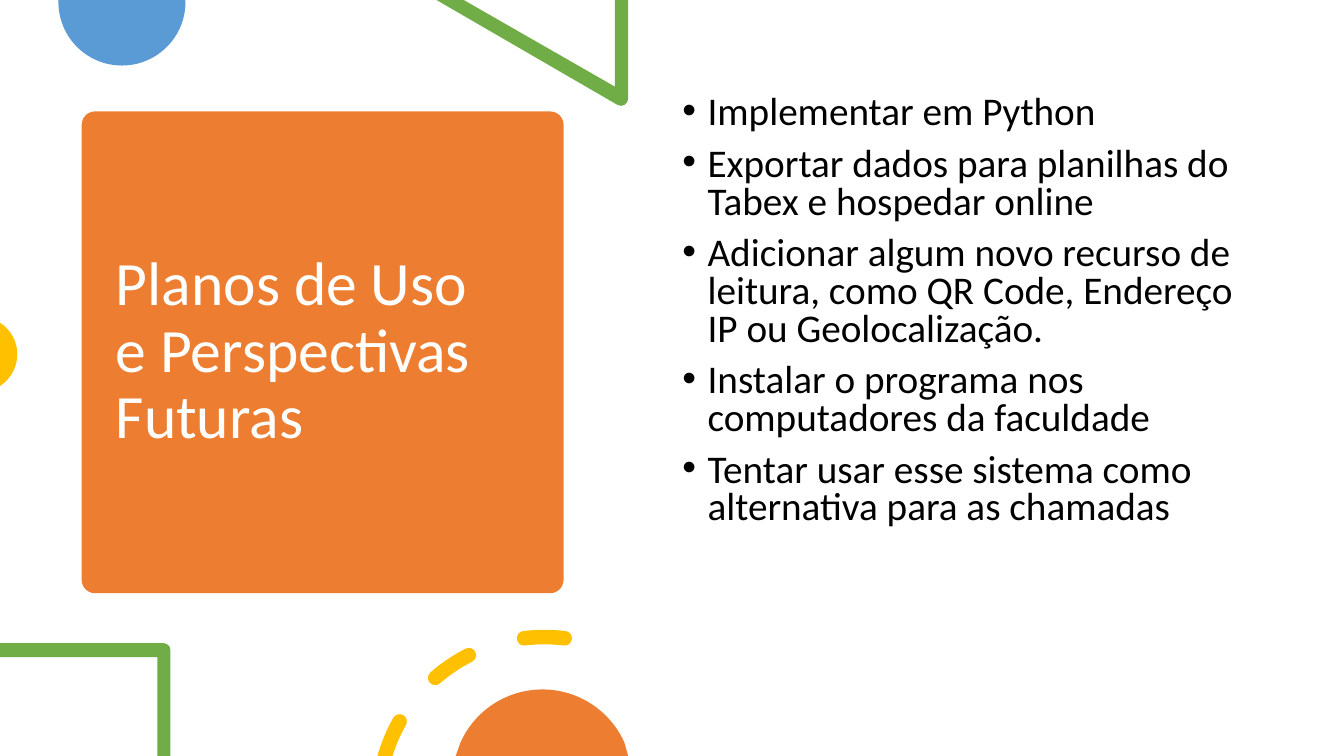
from dataclasses import dataclass
from math import asin, ceil, cos, degrees, radians, sin, tan

from lxml.etree import SubElement
from pptx import Presentation
from pptx.dml.color import RGBColor
from pptx.enum.shapes import MSO_SHAPE
from pptx.enum.text import MSO_ANCHOR
from pptx.oxml.ns import qn
from pptx.util import Inches, Pt

Point = tuple[float, float]
Step = tuple[Point, ...]  # one point is a corner, three are a curve


@dataclass(frozen=True)
class Theme:
    font: str = "Calibri"
    title: int = 44
    body: int = 28
    white: str = "FFFFFF"
    black: str = "000000"
    blue: str = "5B9BD5"
    green: str = "70AD47"
    gold: str = "FFC000"
    orange: str = "ED7D31"


@dataclass(frozen=True)
class Box:
    left: float
    top: float
    width: float
    height: float


@dataclass(frozen=True)
class Arc:
    x: float
    y: float
    radius: float
    start: float
    end: float


@dataclass(frozen=True)
class Dash:
    start: float
    end: float | None = None  # None runs to the slide's bottom edge


theme = Theme()
deck = Presentation()
deck.slide_width, deck.slide_height = Inches(13.33), Inches(7.5)
slide = deck.slides.add_slide(deck.slide_layouts[6])

# The grid has 75 rows of square cells
ROWS = 75
CELL = deck.slide_height / ROWS


def cells(count: float) -> int:
    return round(count * CELL)


def place(box: Box) -> tuple[int, ...]:
    return tuple(cells(n) for n in (box.left, box.top, box.width, box.height))


def paint(shape, color: str) -> None:
    shape.shadow.inherit = False
    shape.fill.solid()
    shape.fill.fore_color.rgb = RGBColor.from_string(color)
    shape.line.fill.background()


def corners(*points: Point) -> list[Step]:
    return [(point,) for point in points]


def curve(arc: Arc) -> list[Step]:
    """An arc in degrees from the right, upwards: its start, then curves."""
    def spot(angle: float, pull: float = 0) -> Point:
        return (arc.x + arc.radius * (cos(angle) - pull * sin(angle)),
                arc.y - arc.radius * (sin(angle) + pull * cos(angle)))

    first, span = radians(arc.start), radians(arc.end - arc.start)
    count = ceil(abs(arc.end - arc.start) / 90)
    turn = span / count
    pull = 4 / 3 * tan(turn / 4)
    angles = [first + turn * i for i in range(count)]
    return [(spot(first),)] + [
        (spot(a, pull), spot(a + turn, -pull), spot(a + turn))
        for a in angles]


def outline(loops: list[list[Step]], color: str) -> None:
    pen = None
    for loop in loops:
        spots = [(cells(x), cells(y)) for step in loop for x, y in step]
        if pen is None:
            pen = slide.shapes.build_freeform(*spots[0], scale=1.0)
        else:
            pen.move_to(*spots[0])
        pen.add_line_segments(spots[1:], close=True)
    shape = pen.convert_to_shape()
    # Join each run of three points into one curve
    nodes = iter(list(shape._element.iter(qn("a:moveTo"), qn("a:lnTo"))))
    for step in (step for loop in loops for step in loop):
        group = [next(nodes) for _ in step]
        if len(group) == 3:
            bend = group[0].makeelement(qn("a:cubicBezTo"))
            group[0].addprevious(bend)
            for node in group:
                bend.append(node[0])
                node.getparent().remove(node)
    paint(shape, color)


def stroke(ring: Arc, dash: Dash, half: float) -> list[Step]:
    """A piece of a ring with round ends, or cut flat by the edge."""
    def reach(radius: float) -> float:
        if dash.end is not None:
            return dash.end
        return 180 - degrees(asin((ring.y - ROWS) / radius))

    def cap(angle: float, turn: float) -> list[Step]:
        x = ring.x + ring.radius * cos(radians(angle))
        y = ring.y - ring.radius * sin(radians(angle))
        return curve(Arc(x, y, half, turn, turn + 180))[1:]

    far, near = ring.radius + half, ring.radius - half
    outer = curve(Arc(ring.x, ring.y, far, dash.start, reach(far)))
    inner = curve(Arc(ring.x, ring.y, near, reach(near), dash.start))
    tip = [] if dash.end is None else cap(dash.end, dash.end)
    back = inner if dash.end is None else inner[1:]
    return outer + tip + back + cap(dash.start, dash.start + 180)


def write(box: Box, lines: list[str], size: int, color: str,
          anchor: MSO_ANCHOR, style: dict, bullet: bool = False) -> None:
    frame = slide.shapes.add_textbox(*place(box)).text_frame
    frame.word_wrap, frame.vertical_anchor = True, anchor
    for i, line in enumerate(lines):
        para = frame.add_paragraph() if i else frame.paragraphs[0]
        para.text = line
        for name, value in style.items():
            setattr(para, name, value)
        look = {"name": theme.font, "size": Pt(size)}
        for run in para.runs:
            for name, value in look.items():
                setattr(run.font, name, value)
            run.font.color.rgb = RGBColor.from_string(color)
        if bullet:
            props = para._p.get_or_add_pPr()
            props.set("marL", str(cells(2.5)))
            props.set("indent", str(-cells(2.5)))
            SubElement(props, qn("a:buFont")).set("typeface", "Arial")
            SubElement(props, qn("a:buChar")).set("char", "•")


# Title card
card = slide.shapes.add_shape(MSO_SHAPE.ROUNDED_RECTANGLE,
                              *place(Box(8.1, 11.05, 47.8, 47.8)))
card.adjustments[0] = 0.028
paint(card, theme.orange)
write(Box(10.5, 12.15, 43.1, 45.6),
      ["Planos de Uso \ve Perspectivas Futuras"],
      theme.title, theme.white, MSO_ANCHOR.MIDDLE, {"line_spacing": 0.9})

# Blue disc, green wedge and gold disc at the edges
outline([corners((18.4, 0), (5.8, 0)) + curve(Arc(12.1, 0.2, 6.3, 180, 360))],
        theme.blue)
wedge = corners((62.3, 0), (61, 0), (61, 8.6), (46, 0), (43.3, 0))
outline([wedge + curve(Arc(61.6, 9.8, 0.7, 240, 360))], theme.green)
outline([curve(Arc(-2, 35.15, 3.72, -57, 57))], theme.gold)

# Plans
plans = [
    "Implementar em Python",
    "Exportar dados para planilhas do Tabex e hospedar online",
    "Adicionar algum novo recurso de leitura, como QR Code, "
    "Endereço IP ou\u00a0Geolocalização.",
    "Instalar o programa nos computadores da faculdade",
    "Tentar usar esse sistema como alternativa para as chamadas",
]
write(Box(66.7, 9, 58.6, 48.3), plans, theme.body, theme.black,
      MSO_ANCHOR.TOP, {"line_spacing": 0.8, "space_before": Pt(10)}, True)

# Green frame, dashed ring and orange disc at the bottom
frame = corners((0, 63.8), (0, 65.2), (15.6, 65.2), (15.6, 75), (16.9, 75))
outline([frame + curve(Arc(16.2, 64.5, 0.7, 0, 90))], theme.green)
ring = Arc(54, 79.7, 16.5, 0, 360)
dashes = [Dash(150.5), Dash(117, 131), Dash(83, 97)]
outline([stroke(ring, dash, 0.72) for dash in dashes], theme.gold)
outline([curve(Arc(53.8, 77.3, 8.9, 24, 156))
         + corners((45.2, 75), (62.3, 75))], theme.orange)

deck.save("out.pptx")
